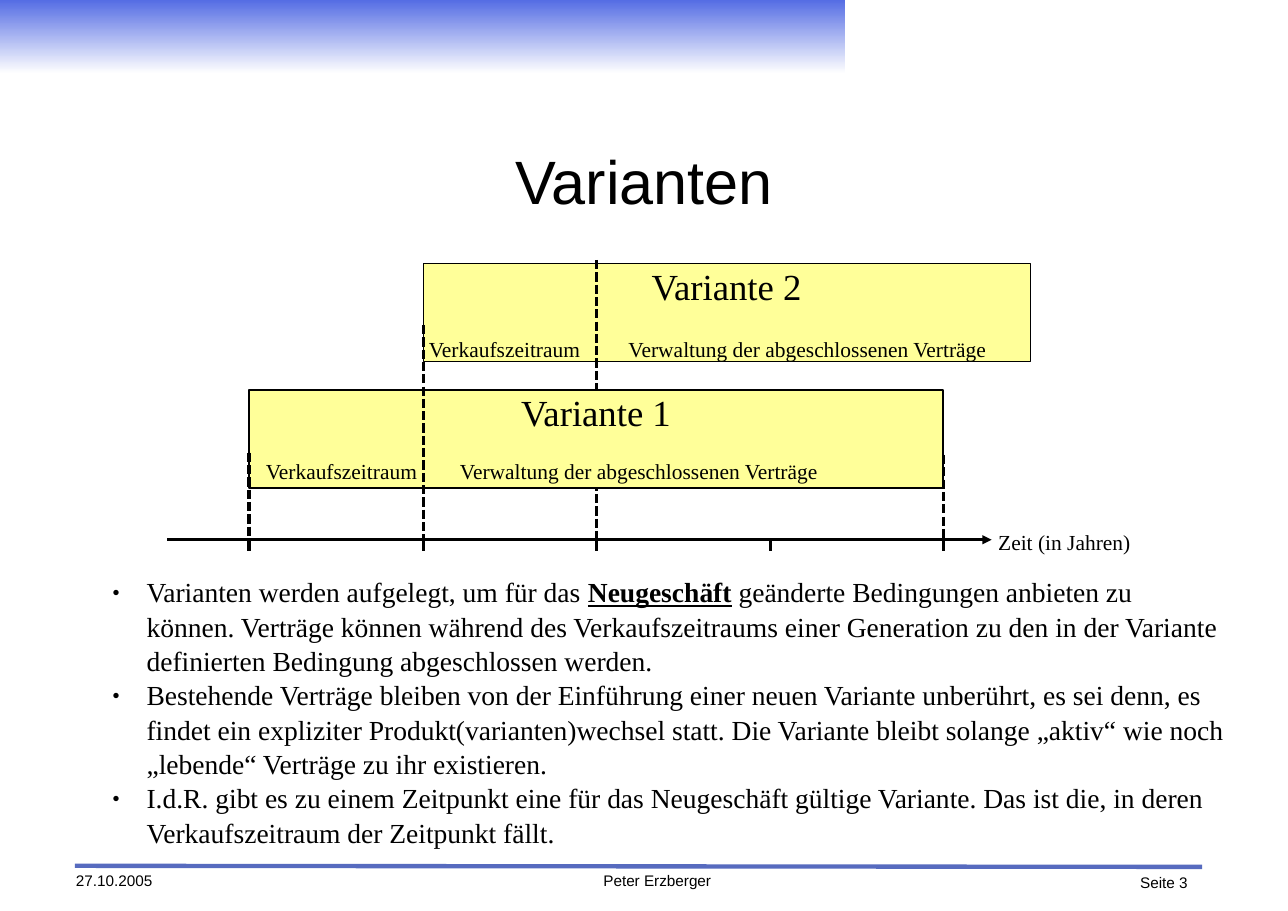
import lxml.etree
import pptx
import pptx.dml.color
import pptx.enum.dml
import pptx.enum.shapes
import pptx.enum.text
import pptx.oxml.ns
import pptx.util

PX = 9144
BLACK = pptx.dml.color.RGBColor(0, 0, 0)
WHITE = pptx.dml.color.RGBColor(255, 255, 255)
BLUE = pptx.dml.color.RGBColor(0x55, 0x6D, 0xE4)
RULE = pptx.dml.color.RGBColor(0x57, 0x6B, 0xBF)
YELLOW = pptx.dml.color.RGBColor(0xFF, 0xFF, 0x99)
SERIF = "Times New Roman"
SANS = "Arial"
ALIGN = pptx.enum.text.PP_ALIGN
ANCHOR = pptx.enum.text.MSO_ANCHOR
RECT = pptx.enum.shapes.MSO_SHAPE.RECTANGLE

POINTS = [
    ["Varianten werden aufgelegt, um für das ", "Neugeschäft",
     " geänderte Bedingungen anbieten zu können. Verträge können während des "
     "Verkaufszeitraums einer Generation zu den in der Variante definierten "
     "Bedingung abgeschlossen werden."],
    ["Bestehende Verträge bleiben von der Einführung einer neuen Variante "
     "unberührt, es sei denn, es findet ein expliziter "
     "Produkt(varianten)wechsel statt. Die Variante bleibt solange „aktiv“ "
     "wie noch „lebende“ Verträge zu ihr existieren."],
    ["I.d.R. gibt es zu einem Zeitpunkt eine für das Neugeschäft gültige "
     "Variante. Das ist die, in deren Verkaufszeitraum der Zeitpunkt fällt."],
]


def scale(box):
    return [pptx.util.Emu(n * PX) for n in box]


def place(shape, box):
    shape.left, shape.top, shape.width, shape.height = scale(box)


def frame(shape, anchor=ANCHOR.TOP):
    text = shape.text_frame
    text.margin_left = text.margin_right = 0
    text.margin_top = text.margin_bottom = 0
    text.word_wrap = True
    text.auto_size = pptx.enum.text.MSO_AUTO_SIZE.NONE
    text.vertical_anchor = anchor
    return text


def style(font, size, name):
    font.size = pptx.util.Pt(size)
    font.name = name
    font.color.rgb = BLACK


def write(shape, words, size, name, align, anchor=ANCHOR.TOP):
    text = frame(shape, anchor)
    text.text = words
    par = text.paragraphs[0]
    par.alignment = align
    style(par.runs[0].font, size, name)


def label(slide, box, words, size=14, name=SERIF, align=ALIGN.CENTER):
    write(slide.shapes.add_textbox(*scale(box)), words, size, name, align)


def stroke(slide, ends, color=BLACK, width=0, dash=False):
    kind = pptx.enum.shapes.MSO_CONNECTOR.STRAIGHT
    line = slide.shapes.add_connector(kind, *scale(ends))
    line.line.color.rgb = color
    line.line.width = pptx.util.Pt(width)
    if dash:
        line.line.dash_style = pptx.enum.dml.MSO_LINE.SQUARE_DOT
    props = line._element.spPr
    lxml.etree.SubElement(props, pptx.oxml.ns.qn("a:effectLst"))
    return line


def banner(slide, box):
    shape = slide.shapes.add_shape(RECT, *scale(box))
    shape.shadow.inherit = False
    shape.line.fill.background()
    shape.fill.gradient()
    shape.fill.gradient_angle = 90
    for stop, color in zip(shape.fill.gradient_stops, (WHITE, BLUE)):
        stop.color.rgb = color


def title(slide, box):
    shape = slide.shapes.title
    place(shape, box)
    write(shape, "Varianten", 40, SANS, ALIGN.CENTER, ANCHOR.MIDDLE)


def variant(slide, box, words, sale, admin, drop):
    left, top = box[:2]
    bar = slide.shapes.add_shape(RECT, *scale(box))
    bar.shadow.inherit = False
    bar.fill.solid()
    bar.fill.fore_color.rgb = YELLOW
    bar.line.color.rgb = BLACK
    bar.line.width = 0
    write(bar, words, 24, SERIF, ALIGN.CENTER)
    label(slide, (left + sale, top + drop, 148, 22), "Verkaufszeitraum")
    label(slide, (left + admin, top + drop, 384, 22),
          "Verwaltung der abgeschlossenen Verträge")


def chart(slide, box):
    left, top, width, height = box
    axis = top + height - 10
    years = [left + 74 + (315 * i + 1) // 2 for i in range(5)]

    def drop(year, start):
        x = years[year]
        stroke(slide, (x, top + start, x, axis + 2), dash=True)

    variant(slide, (years[1], top + 3, 551, 89), "Variante 2", 0, 157, 66)
    drop(2, 0)
    variant(slide, (years[0], top + 118, 630, 89), "Variante 1", 10, 162, 62)
    for year, start in ((0, 175), (1, 59), (4, 177)):
        drop(year, start)
    for x in years:
        stroke(slide, (x, axis, x, axis + 10))
    arrow = stroke(slide, (left, axis, left + 748, axis))
    lxml.etree.SubElement(arrow.line._get_or_add_ln(),
                          pptx.oxml.ns.qn("a:tailEnd"), type="triangle")
    label(slide, (left + 754, axis - 10, width - 754, 22),
          "Zeit (in Jahren)", align=ALIGN.LEFT)


def bullet(par):
    props = par._p.get_or_add_pPr()
    props.set("marL", str(94 * PX))
    props.set("indent", str(-31 * PX))
    color = lxml.etree.SubElement(props, pptx.oxml.ns.qn("a:buClr"))
    lxml.etree.SubElement(color, pptx.oxml.ns.qn("a:srgbClr"), val=str(BLACK))
    for tag, key, val in (("buSzPct", "val", "45000"),
                          ("buFont", "typeface", SANS),
                          ("buChar", "char", "●")):
        node = lxml.etree.SubElement(props, pptx.oxml.ns.qn("a:" + tag))
        node.set(key, val)


def points(slide, box):
    shape = slide.placeholders[1]
    place(shape, box)
    text = frame(shape)
    for i, parts in enumerate(POINTS):
        par = text.add_paragraph() if i else text.paragraphs[0]
        par.level = 1
        bullet(par)
        par.alignment = ALIGN.LEFT
        par.space_before = pptx.util.Pt(0)
        par.line_spacing = 1.04
        for words in parts:
            run = par.add_run()
            run.text = words
            style(run.font, 18, SERIF)
            if words == "Neugeschäft":
                run.font.bold = run.font.underline = True


def footer(slide, box):
    left, top, width, height = box
    stroke(slide, (left, top, left + width, top + 1), RULE, 2.83)
    for x, y, span, words, align in (
            (1, 5, 117, "27.10.2005", ALIGN.LEFT),
            (448, 5, 161, "Peter Erzberger", ALIGN.CENTER),
            (944, 7, 66, "Seite 3", ALIGN.RIGHT)):
        label(slide, (left + x, top + y, span, height - y),
              words, 10, SANS, align)


def main():
    deck = pptx.Presentation()
    deck.slide_width, deck.slide_height = scale((1169, 827))
    slide = deck.slides.add_slide(deck.slide_layouts[1])
    banner(slide, (0, 0, 767, 67))
    title(slide, (119, 95, 931, 137))
    chart(slide, (152, 236, 892, 264))
    points(slide, (39, 521, 1073, 257))
    footer(slide, (68, 786, 1023, 26))
    deck.save("out.pptx")


if __name__ == "__main__":
    main()
